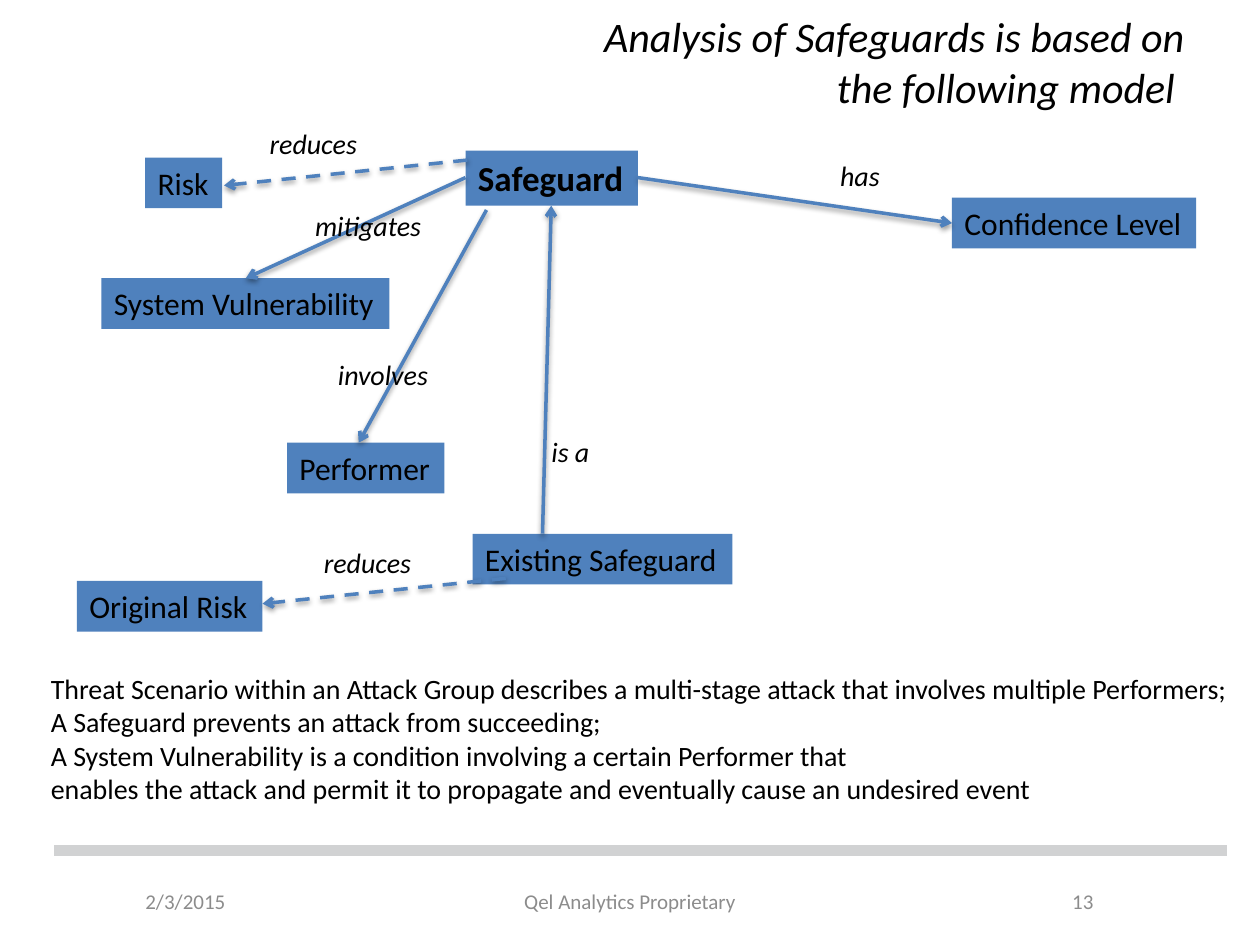
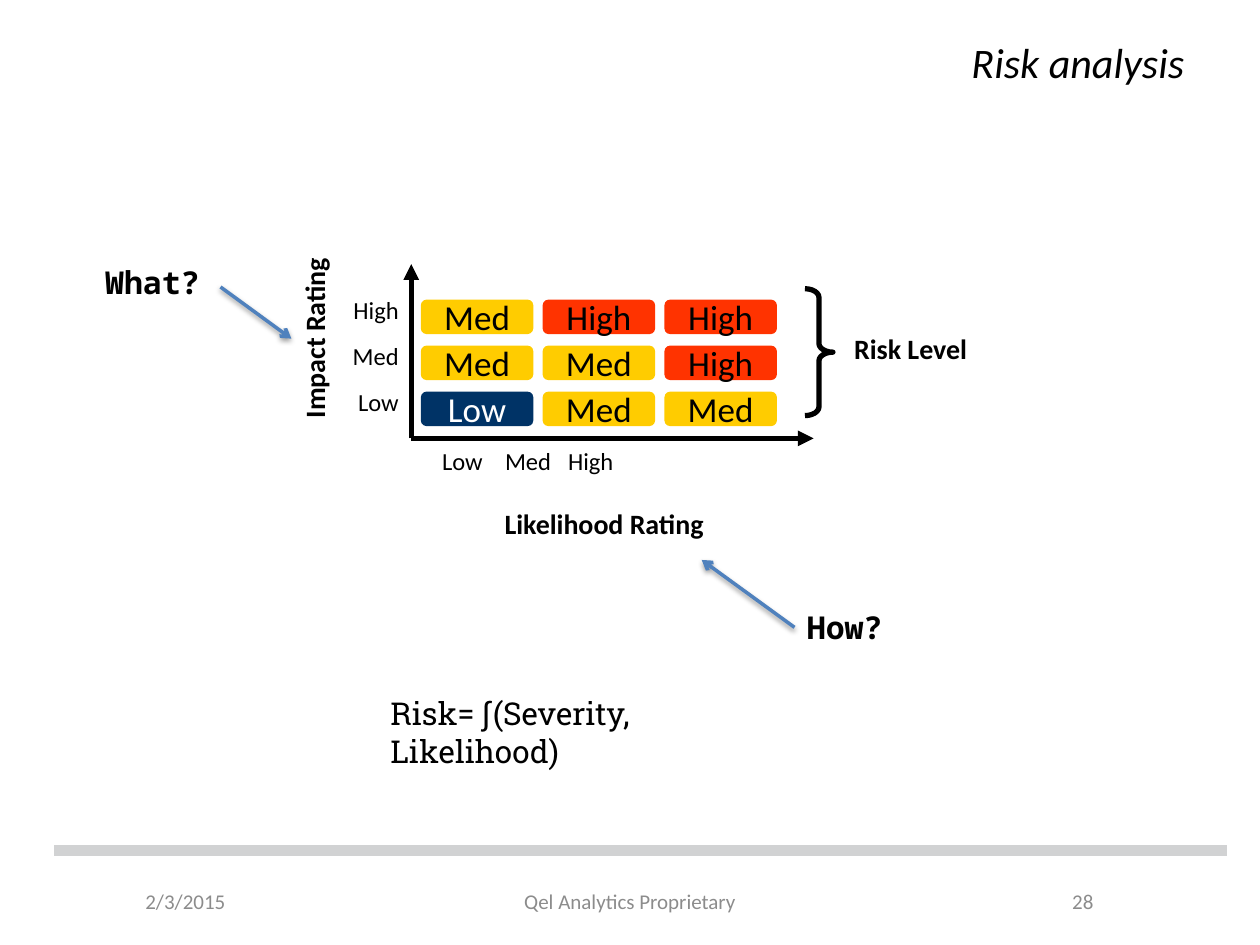
from lxml.etree import SubElement
from pptx import Presentation
from pptx.dml.color import RGBColor
from pptx.enum.dml import MSO_LINE
from pptx.enum.shapes import MSO_CONNECTOR, MSO_SHAPE
from pptx.enum.text import MSO_ANCHOR, MSO_AUTO_SIZE, PP_ALIGN
from pptx.oxml.ns import qn
from pptx.util import Pt

COLORS = {"black": "000000", "white": "FFFFFF", "blue": "4F81BD", "band": "D1D2D3",
          "footer": "8C8C8C", "navy": "003366", "yellow": "FFCC00", "red": "FF3300"}
FONT, MONO, SLAB = "Calibri", "Noto Sans Mono", "Roboto Slab"
LEFT, CENTER, RIGHT = PP_ALIGN.LEFT, PP_ALIGN.CENTER, PP_ALIGN.RIGHT

DATE, OWNER = "2/3/2015", "Qel Analytics Proprietary"
SAFEGUARD_TITLE = "Analysis of Safeguards is based on\vthe following model "
RISK_TITLE = "Risk analysis"

# text, left, top, width
CONCEPTS = [
    ("System Vulnerability", 58, 159, 164.5),
    ("Performer", 164, 253, 90),
    ("Confidence Level", 544, 113, 139.5),
    ("Existing Safeguard", 270, 305, 148.5),
    ("Risk", 83, 90, 44),
    ("Original Risk", 44, 332, 106),
]
# label, label left, label top, start, end, dashed
RELATIONS = [
    ("mitigates", 173, 115.5, (266, 101.5), (140.5, 159), False),
    ("involves", 186, 201, (278, 120), (205, 253), False),
    ("has", 473, 87, (364.5, 101.5), (544, 127.5), False),
    ("is a", 308, 245, (310, 305), (315, 117.5), False),
    ("reduces", 147, 69, (267, 91.5), (128, 106), True),
    ("reduces", 178, 308, (289, 330.5), (150, 345), True),
]
DEFINITIONS = [
    "Threat Scenario within an Attack Group describes a multi-stage attack that involves multiple Performers;",
    "A Safeguard prevents an attack from succeeding;",
    "A System Vulnerability is a condition involving a certain Performer that",
    "enables the attack and permit it to propagate and eventually cause an undesired event",
]

IMPACTS = ["High", "Med", "Low"]
LIKELIHOODS = ["Low", "Med", "High"]
RISK_LEVELS = [["Med", "High", "High"], ["Med", "Med", "High"], ["Low", "Med", "Med"]]
LEVEL_COLORS = {"Low": ("navy", "white"), "Med": ("yellow", "black"), "High": ("red", "black")}
# text, left, top, width, font, bold
QUESTIONS = [
    ("What?", 53, 147, 90, MONO, True),
    ("How?", 454, 344, 90, MONO, True),
    ("Risk= ∫(Severity, Likelihood)", 216, 393, 247.5, SLAB, False),
]
QUESTION_ARROWS = [((126, 164), (166.5, 193.5)), ((454, 358.5), (401, 320))]


def rgb(name):
    return RGBColor.from_string(COLORS[name])


def write(sp, text, size, color="black", font=FONT, bold=False, italic=False,
          align=LEFT, anchor=MSO_ANCHOR.TOP, wrap=True):
    tf = sp.text_frame
    tf.text = text
    tf.word_wrap = wrap
    tf.auto_size = MSO_AUTO_SIZE.NONE
    tf.vertical_anchor = anchor
    for p in tf.paragraphs:
        p.alignment = align
        for r in p.runs:
            f = r.font
            f.name, f.size, f.bold, f.italic = font, Pt(size), bold, italic
            f.color.rgb = rgb(color)
    return sp


def add_text(s, text, x, y, w, h, size, **style):
    return write(s.shapes.add_textbox(Pt(x), Pt(y), Pt(w), Pt(h)), text, size, **style)


def add_box(s, kind, x, y, w, h, fill):
    sp = s.shapes.add_shape(kind, Pt(x), Pt(y), Pt(w), Pt(h))
    sp.shadow.inherit = False
    sp.fill.solid()
    sp.fill.fore_color.rgb = rgb(fill)
    sp.line.fill.background()
    return sp


def add_line(s, start, end, color="blue", width=2, head=None, dashed=False, shadow=False):
    sp = s.shapes.add_connector(MSO_CONNECTOR.STRAIGHT, *map(Pt, start + end))
    sp.line.color.rgb = rgb(color)
    sp.line.width = Pt(width)
    if dashed:
        sp.line.dash_style = MSO_LINE.DASH
    if head:
        SubElement(sp.line._get_or_add_ln(), qn("a:tailEnd"), type=head)
    effects = SubElement(sp._element.spPr, qn("a:effectLst"))
    if shadow:
        outer = SubElement(effects, qn("a:outerShdw"), blurRad=str(Pt(3.1)), dist=str(Pt(1.6)),
                           dir="5400000", rotWithShape="0")
        clr = SubElement(outer, qn("a:srgbClr"), val=COLORS["black"])
        SubElement(clr, qn("a:alpha"), val="38000")


def add_arrow(s, start, end, dashed=False):
    add_line(s, start, end, head="arrow", dashed=dashed, shadow=True)


def add_slide(prs, title, number):
    """Add a slide with the shared title style, band and footer."""
    s = prs.slides.add_slide(prs.slide_layouts[5])
    sp = s.shapes.title
    sp.left, sp.top, sp.width, sp.height = Pt(36), Pt(15), Pt(648), Pt(40)
    write(sp, title, 24, italic=True, align=RIGHT, anchor=MSO_ANCHOR.MIDDLE)
    add_line(s, (31, 486), (701, 486), color="band", width=6)
    for text, x, w, align in [(DATE, 76, 128, LEFT), (OWNER, 246, 228, CENTER),
                              (str(number), 516, 116, RIGHT)]:
        add_text(s, text, x, 500.5, w, 29, 12, color="footer", align=align,
                 anchor=MSO_ANCHOR.MIDDLE)
    return s


def build_safeguard_model(prs):
    s = add_slide(prs, SAFEGUARD_TITLE, 13)
    safeguard = add_box(s, MSO_SHAPE.RECTANGLE, 266, 86, 98.5, 31.5, "blue")
    write(safeguard, "Safeguard", 20, bold=True, wrap=False)
    for text, x, y, w in CONCEPTS:
        write(add_box(s, MSO_SHAPE.RECTANGLE, x, y, w, 29, "blue"), text, 18, wrap=False)
    for text, x, y, start, end, dashed in RELATIONS:
        add_arrow(s, start, end, dashed)
        add_text(s, text, x, y, 70, 26.5, 16, italic=True, wrap=False)
    add_text(s, "\n".join(DEFINITIONS), 22, 380, 698, 85, 16)


def build_risk_analysis(prs):
    s = add_slide(prs, RISK_TITLE, 28)
    cell_x, cell_y, cell_w, cell_h = 240.5, 171.2, 64.3, 19.7
    step_x, step_y = 69.6, 26.3
    for row, (impact, levels) in enumerate(zip(IMPACTS, RISK_LEVELS)):
        y = cell_y + row * step_y
        add_text(s, impact, 176, y - 6.4, 59, 24.5, 14, align=RIGHT)
        for col, level in enumerate(levels):
            fill, color = LEVEL_COLORS[level]
            cell = add_box(s, MSO_SHAPE.ROUNDED_RECTANGLE, cell_x + col * step_x, y,
                           cell_w, cell_h, fill)
            write(cell, level, 20, color=color, align=CENTER, anchor=MSO_ANCHOR.MIDDLE,
                  wrap=False)

    origin = (235, 250.5)
    for end in [(465, 250.5), (235, 151)]:
        add_line(s, origin, end, color="black", width=3, head="triangle")

    scale = s.shapes.add_textbox(Pt(245.5), Pt(251.5), Pt(214.5), Pt(24.5))
    tabs = SubElement(scale.text_frame.paragraphs[0]._p.get_or_add_pPr(), qn("a:tabLst"))
    for i in range(1, len(LIKELIHOODS)):
        SubElement(tabs, qn("a:tab"), pos=str(Pt(55 * i)), algn="l")
    write(scale, "\t".join(LIKELIHOODS), 14)

    impact_title = add_text(s, "Impact Rating", 86.5, 180, 186, 26.5, 16, bold=True, align=CENTER)
    impact_title.rotation = 270
    add_text(s, "Likelihood Rating", 265, 286, 160.5, 26.5, 16, bold=True, align=CENTER)
    add_text(s, "Risk Level", 481, 186, 93, 26.5, 16, bold=True)

    brace = s.shapes.add_shape(MSO_SHAPE.RIGHT_BRACE, Pt(460), Pt(165), Pt(16), Pt(72.5))
    brace.shadow.inherit = False
    brace.adjustments[0] = 0.31
    brace.fill.background()
    brace.line.color.rgb = rgb("black")
    brace.line.width = Pt(3)

    for text, x, y, w, font, bold in QUESTIONS:
        add_text(s, text, x, y, w, 29, 18, font=font, bold=bold)
    for start, end in QUESTION_ARROWS:
        add_arrow(s, start, end)


def main():
    prs = Presentation()
    prs.slide_width, prs.slide_height = Pt(720), Pt(540)
    build_safeguard_model(prs)
    build_risk_analysis(prs)
    prs.save("out.pptx")


if __name__ == "__main__":
    main()
